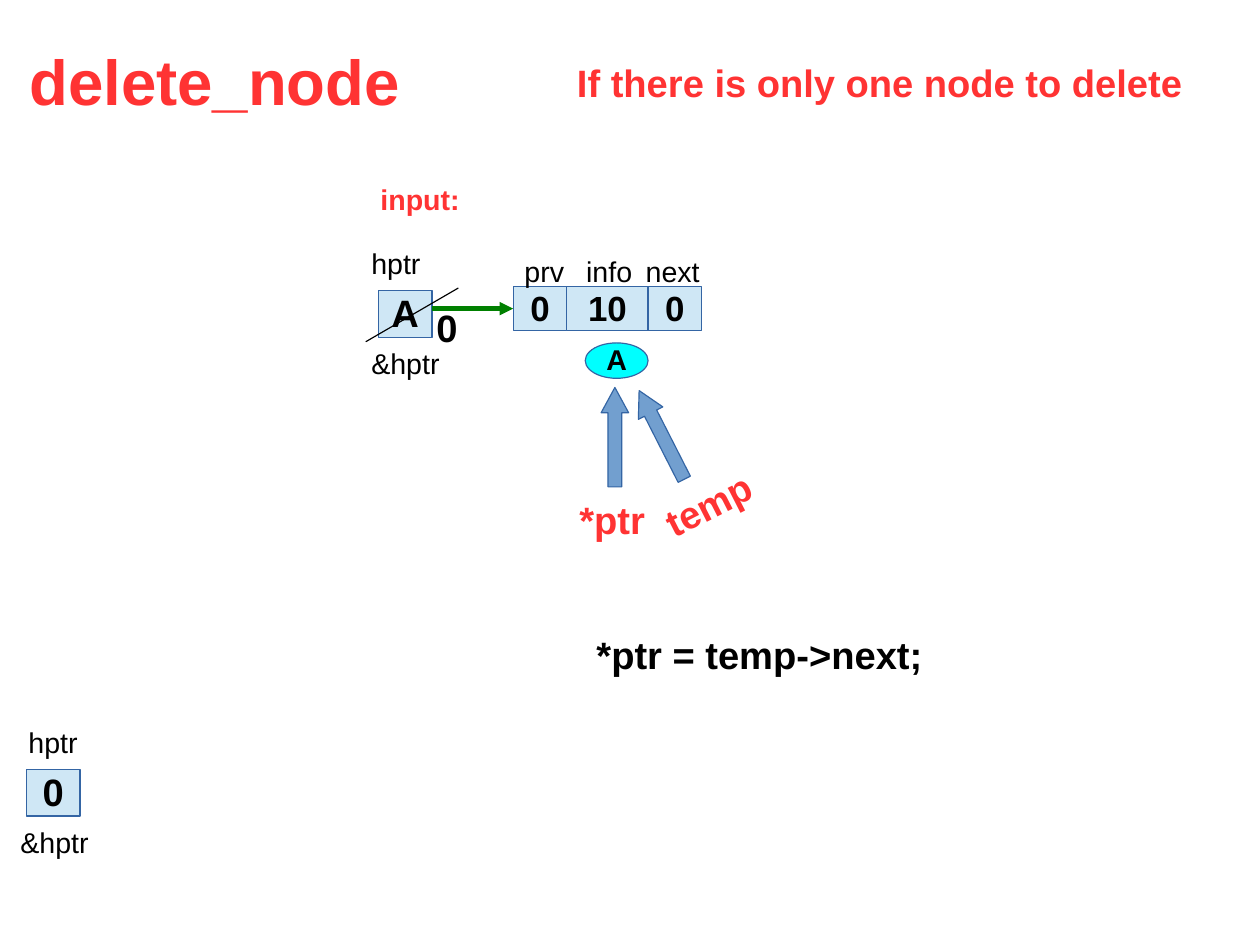
import pptx
import pptx.util
import pptx.dml.color
import pptx.enum.shapes
import pptx.enum.text
import pptx.oxml.ns
import lxml.etree

Inches = pptx.util.Inches
Pt = pptx.util.Pt
shapes = pptx.enum.shapes.MSO_SHAPE
align = pptx.enum.text.PP_ALIGN
anchor = pptx.enum.text.MSO_ANCHOR
colours = {
    "red": "FF3333", "black": "000000", "cell": "CFE7F5", "edge": "3465A4",
    "cyan": "00FFFF", "arrow": "729FCF", "green": "008000",
}
rgb = {name: pptx.dml.color.RGBColor.from_string(value) for name, value in colours.items()}

deck = pptx.Presentation()
deck.slide_width, deck.slide_height = Inches(28 / 2.54), Inches(21 / 2.54)
page = deck.slides.add_slide(deck.slide_layouts[6])


def write(box, text, size, bold, colour, frame_format, alignment):
    frame = box.text_frame
    frame_values = {"margin_left": Inches(0.1), "margin_right": Inches(0.1),
                    "margin_bottom": Inches(0.05), **frame_format}
    for name, value in frame_values.items():
        setattr(frame, name, value)
    para = frame.paragraphs[0]
    para.alignment, para.line_spacing = alignment, 0.94
    span = para.add_run()
    span.text = text
    for name, value in {"name": "Arial", "size": Pt(size), "bold": bold}.items():
        setattr(span.font, name, value)
    span.font.color.rgb = rgb[colour]


def add_figure(kind, left, top, width, height, fill):
    figure = page.shapes.add_shape(kind, Inches(left), Inches(top), Inches(width), Inches(height))
    figure.shadow.inherit = False
    figure.fill.solid()
    figure.fill.fore_color.rgb = rgb[fill]
    figure.line.color.rgb = rgb["edge"]
    figure.line.width = Pt(0.75)
    return figure


figures = {}
for name, kind, text, left, top, width, height, size, fill in [
    ("final hptr", shapes.RECTANGLE, "0", 0.23, 6.73, 0.47, 0.41, 24, "cell"),
    ("hptr", shapes.RECTANGLE, "A", 3.31, 2.54, 0.47, 0.41, 24, "cell"),
    ("address", shapes.OVAL, "A", 5.12, 3, 0.55, 0.31, 18, "cyan"),
    ("info", shapes.RECTANGLE, "10", 4.96, 2.51, 0.71, 0.38, 22, "cell"),
    ("next", shapes.RECTANGLE, "0", 5.67, 2.51, 0.47, 0.38, 22, "cell"),
    ("prv", shapes.RECTANGLE, "0", 4.49, 2.51, 0.47, 0.38, 22, "cell"),
]:
    figures[name] = add_figure(kind, left, top, width, height, fill)
    inset = 0.06 if kind == shapes.OVAL else 0.07
    write(figures[name], text, size, True, "black",
          {"margin_top": Inches(inset), "word_wrap": False, "vertical_anchor": anchor.MIDDLE},
          align.CENTER)

for left, top, rotation in [(5.26, 3.39, 0), (5.67, 3.37, 333)]:
    pointer = add_figure(shapes.UP_ARROW, left, top, 0.24, 0.87, "arrow")
    pointer.adjustments[0], pointer.adjustments[1] = 0.5, 0.92
    pointer.rotation = rotation

lines = []
for start_x, start_y, end_x, end_y, colour, width in [
    (3.78, 2.7, 4.49, 2.7, "green", 2.83),
    (4.01, 2.52, 3.2, 2.99, "black", 0.75),
]:
    line = page.shapes.add_connector(
        pptx.enum.shapes.MSO_CONNECTOR.STRAIGHT,
        Inches(start_x), Inches(start_y), Inches(end_x), Inches(end_y))
    line.line.color.rgb = rgb[colour]
    line.line.width = Pt(width)
    lxml.etree.SubElement(line._element.spPr, pptx.oxml.ns.qn("a:effectLst"))
    lines.append(line)
link = lines[0]
link.end_connect(figures["prv"], 1)
lxml.etree.SubElement(link.line._get_or_add_ln(), pptx.oxml.ns.qn("a:tailEnd"), type="triangle")

for text, left, top, width, height, size, bold, colour, inset, rotation in [
    ("delete_node", 0.16, 0.37, 3.5, 0.77, 40, True, "red", 0.05, 0),
    ("If there is only one node to delete", 4.95, 0.49, 5.6, 0.38, 24, True, "red", 0.06, 0),
    ("input:", 3.23, 1.56, 3.55, 0.38, 18, True, "red", 0.06, 0),
    ("hptr", 3.15, 2.12, 0.71, 0.38, 18, False, "black", 0.06, 0),
    ("&hptr", 3.15, 2.99, 0.85, 0.38, 18, False, "black", 0.06, 0),
    ("prv", 4.49, 2.19, 0.67, 0.38, 18, False, "black", 0.06, 0),
    ("info", 5.03, 2.19, 0.76, 0.38, 18, False, "black", 0.06, 0),
    ("next", 5.55, 2.19, 0.75, 0.38, 18, False, "black", 0.06, 0),
    ("0", 3.72, 2.65, 0.4, 0.5, 24, True, "black", 0.05, 0),
    ("*ptr", 4.97, 4.33, 0.84, 0.5, 24, True, "red", 0.05, 0),
    ("temp", 5.71, 4.18, 1.05, 0.5, 24, True, "red", 0.05, 333),
    ("*ptr = temp->next;", 5.12, 5.51, 3.2, 0.87, 24, True, "black", 0.05, 0),
    ("hptr", 0.15, 6.31, 0.71, 0.38, 18, False, "black", 0.06, 0),
    ("&hptr", 0.08, 7.18, 0.85, 0.38, 18, False, "black", 0.06, 0),
]:
    box = page.shapes.add_textbox(Inches(left), Inches(top), Inches(width), Inches(height))
    box.rotation = rotation
    write(box, text, size, bold, colour,
          {"margin_top": Inches(inset), "word_wrap": True}, align.LEFT)

deck.save("out.pptx")
